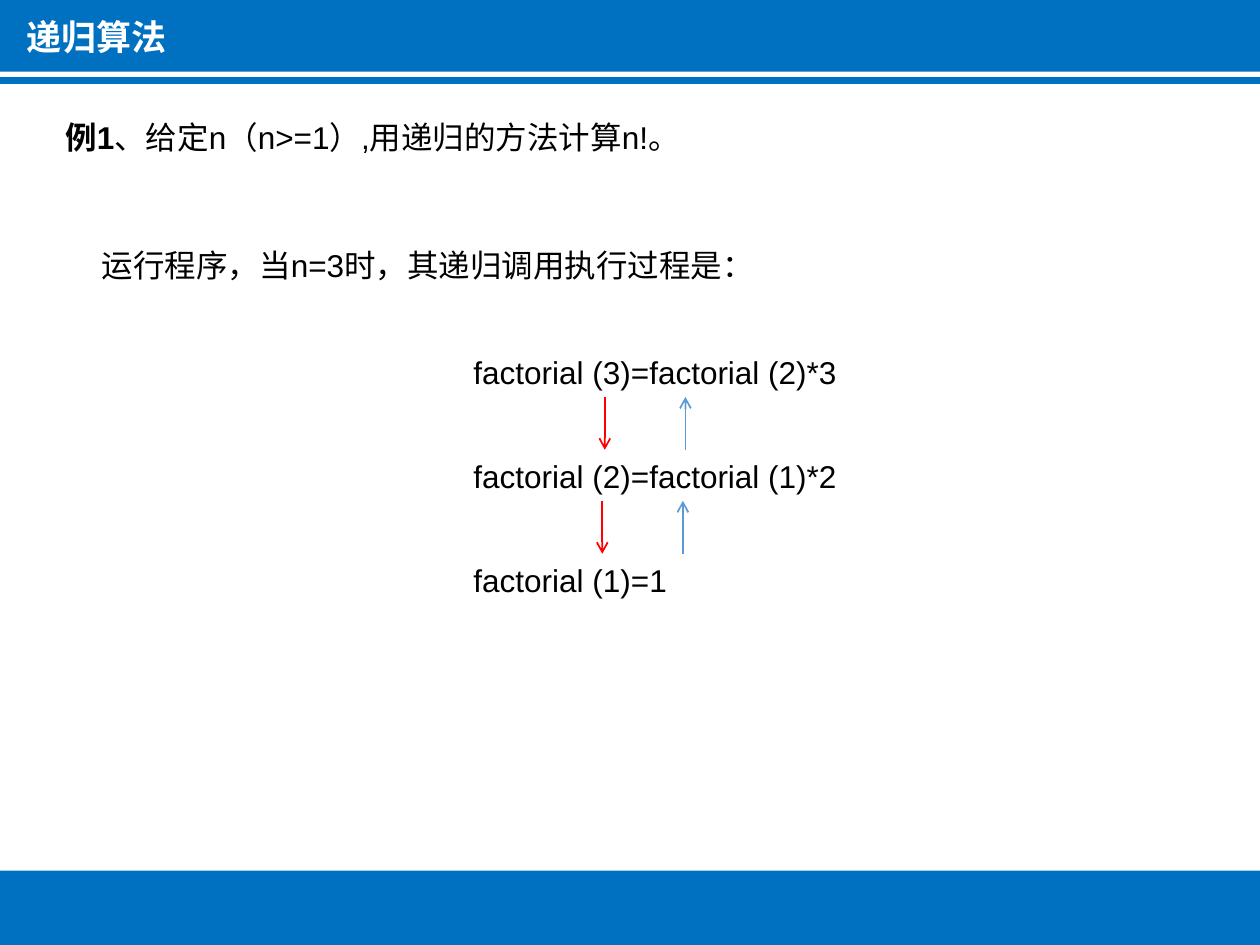
from dataclasses import dataclass
from typing import Any

from lxml import etree
from pptx import Presentation
from pptx import util as u
from pptx.dml.color import RGBColor
from pptx.enum import shapes, text
from pptx.oxml.ns import qn

BLUE = RGBColor(0x00, 0x70, 0xC0)
WHITE = RGBColor(0xFF, 0xFF, 0xFF)
BLACK = RGBColor(0x00, 0x00, 0x00)
RED = RGBColor(0xFF, 0x00, 0x00)
SKY = RGBColor(0x5B, 0x9B, 0xD5)
LATIN = "Arial"
CHINESE = "Noto Sans CJK SC"
COLUMNS, ROWS = 100, 75


def add_run(paragraph, wording, size=18, color=BLACK, bold=False, font=LATIN):
    run = paragraph.add_run()
    run.text = wording
    run.font.size = u.Pt(size)
    run.font.color.rgb = color
    run.font.bold = bold
    run.font.name = font
    east_asian = etree.SubElement(run.font._element, qn("a:ea"))
    east_asian.set("typeface", CHINESE)


@dataclass
class Board:
    slide: Any
    width: int
    height: int

    def x(self, columns):
        return round(self.width * columns / COLUMNS)

    def y(self, rows):
        return round(self.height * rows / ROWS)

    def band(self, top, height, outlined=False):
        bar = self.slide.shapes.add_shape(
            shapes.MSO_SHAPE.RECTANGLE, 0, self.y(top), self.width, self.y(height))
        bar.shadow.inherit = False
        bar.fill.solid()
        bar.fill.fore_color.rgb = BLUE
        if outlined:
            bar.line.color.rgb = BLUE
            bar.line.width = u.Pt(1)
        else:
            bar.line.fill.background()

    def label(self, left, top, width, *parts, height=4, **style):
        frame = self.slide.shapes.add_textbox(
            self.x(left), self.y(top), self.x(width), self.y(height)).text_frame
        frame.word_wrap = True
        frame.auto_size = text.MSO_AUTO_SIZE.SHAPE_TO_FIT_TEXT
        for index, part in enumerate(parts):
            emphasis = {"bold": index == 0} if len(parts) > 1 else {}
            add_run(frame.paragraphs[0], part, **{**style, **emphasis})

    def arrow(self, column, start, end, color):
        arrow = self.slide.shapes.add_connector(
            shapes.MSO_CONNECTOR.STRAIGHT,
            self.x(column), self.y(start), self.x(column), self.y(end))
        arrow.line.color.rgb = color
        arrow.line.width = u.Pt(1)
        etree.SubElement(arrow.line._get_or_add_ln(), qn("a:tailEnd"), type="arrow")
        etree.SubElement(arrow._element.spPr, qn("a:effectLst"))


def main():
    deck = Presentation()
    deck.slide_width, deck.slide_height = u.Inches(10), u.Inches(7.5)
    slide = deck.slides.add_slide(deck.slide_layouts[6])
    board = Board(slide, deck.slide_width, deck.slide_height)

    board.band(0, 5.7)
    board.band(69.1, 5.9)
    board.label(1.1, 0.7, 50.7, "递归算法", height=4.4,
                size=20, color=WHITE, bold=True, font=CHINESE)
    board.band(6.2, 0.4, outlined=True)

    board.label(4.2, 8.9, 85.7, "例1", "、给定n（n>=1）,用递归的方法计算n!。")
    board.label(7.1, 19, 79.8, "运行程序，当n=3时，其递归调用执行过程是：")

    first_call, call_step = 27.5, 8.25
    calls = [
        ("factorial (3)=factorial (2)*3", 40.3),
        ("factorial (2)=factorial (1)*2", 50.4),
        ("factorial (1)=1", 19.4),
    ]
    for level, (call, width) in enumerate(calls):
        board.label(36.6, first_call + level * call_step, width, call)

    for level, (descent, result) in enumerate([(48, 54.4), (47.8, 54.2)]):
        upper = first_call + 4 + level * call_step
        lower = upper + 4.2
        board.arrow(descent, upper, lower, RED)
        board.arrow(result, lower, upper, SKY)

    deck.save("out.pptx")


if __name__ == "__main__":
    main()
